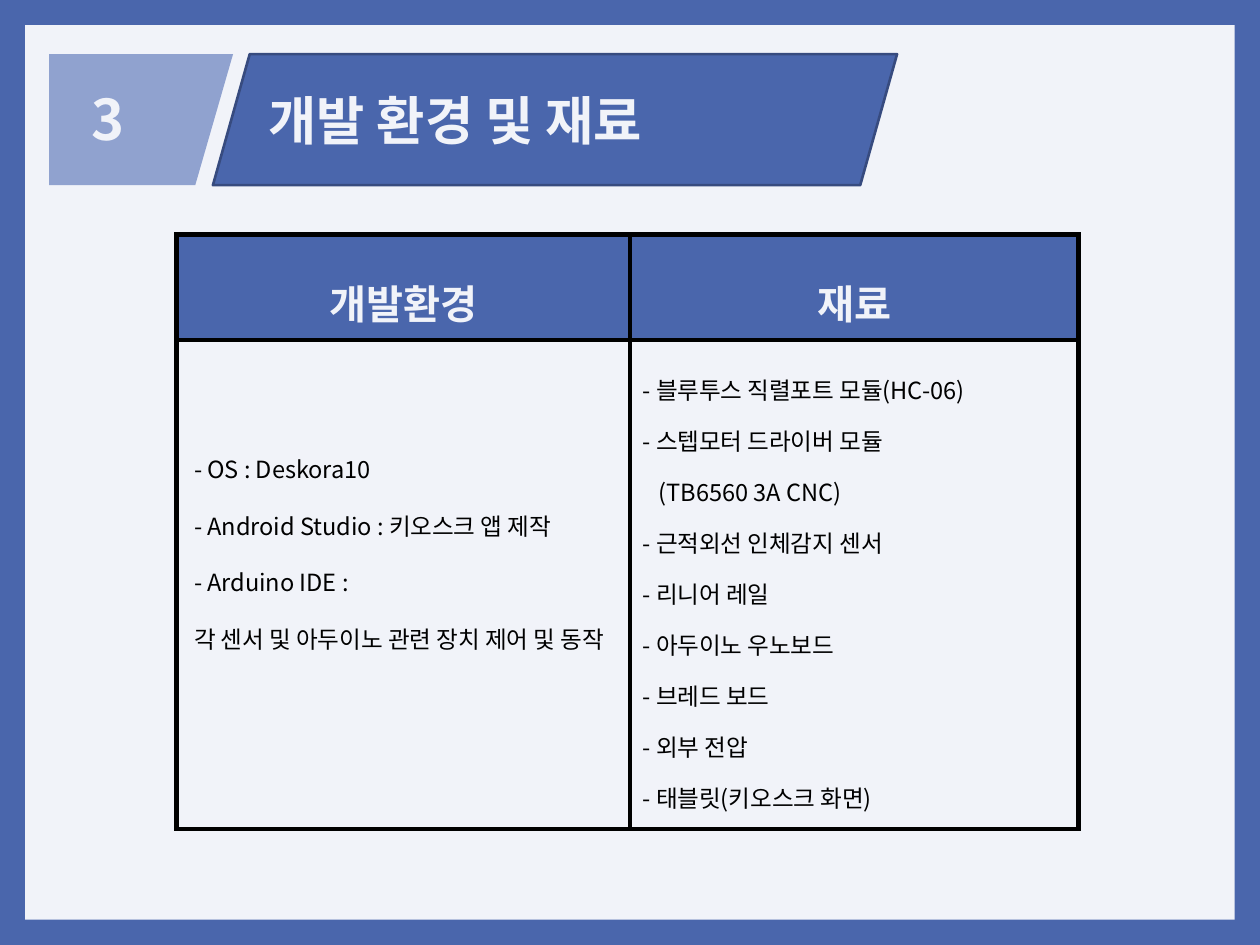
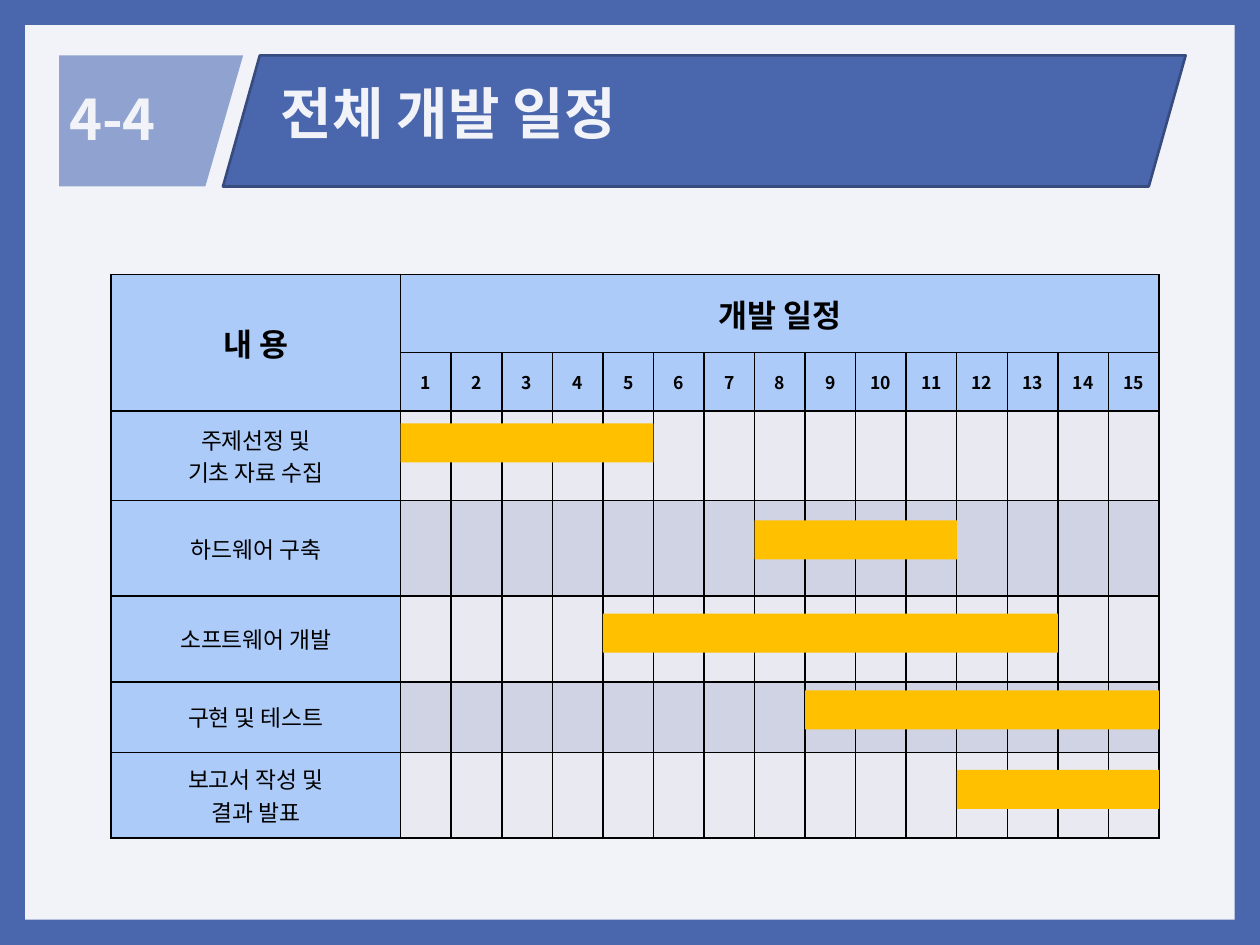
from lxml import etree
from pptx import Presentation
from pptx.dml.color import RGBColor
from pptx.enum.shapes import MSO_SHAPE
from pptx.enum.text import MSO_ANCHOR, MSO_AUTO_SIZE, PP_ALIGN
from pptx.oxml.ns import qn
from pptx.util import Inches, Pt

RECT, SLANT = MSO_SHAPE.RECTANGLE, MSO_SHAPE.PARALLELOGRAM
MIDDLE, FIXED = MSO_ANCHOR.MIDDLE, MSO_AUTO_SIZE.NONE
LEFT, CENTER = PP_ALIGN.LEFT, PP_ALIGN.CENTER
FONT = "Noto Sans CJK KR"
HUES = {
    "blue": "4A66AC", "edge": "374B7F", "panel": "F1F3F9", "tab": "90A2CF",
    "head": "ACCBF9", "light": "E9EAF1", "dark": "D0D3E3",
    "bar": "FFC000", "ink": "000000",
}

TOOLS = [
    "- OS : Deskora10",
    "- Android Studio : 키오스크 앱 제작",
    "- Arduino IDE :",
    "각 센서 및 아두이노 관련 장치 제어 및 동작",
]
PARTS = [
    "- 블루투스 직렬포트 모듈(HC-06)",
    "- 스텝모터 드라이버 모듈",
    "(TB6560 3A CNC)",
    "- 근적외선 인체감지 센서",
    "- 리니어 레일",
    "- 아두이노 우노보드",
    "- 브레드 보드",
    "- 외부 전압",
    "- 태블릿(키오스크 화면)",
]
WEEKS = 15
TASKS = [
    (["주제선정 및", "기초 자료 수집"], 0.71, 1, 5, 3.36),
    (["하드웨어 구축"], 0.76, 8, 11, 4.13),
    (["소프트웨어 개발"], 0.68, 5, 13, 4.87),
    (["구현 및 테스트"], 0.56, 9, 15, 5.48),
    (["보고서 작성 및", "결과 발표"], 0.68, 12, 15, 6.11),
]


def hue(name):
    return RGBColor.from_string(HUES[name])


def box(*lengths):
    return [Inches(n) for n in lengths]


def place(shape, at):
    shape.left, shape.top, shape.width, shape.height = box(*at)


def write(frame, lines, size=13, color="ink", bold=False, align=LEFT,
          gap=1.0, indents=None):
    frame.word_wrap = True
    for i, line in enumerate(lines):
        para = frame.paragraphs[0] if i == 0 else frame.add_paragraph()
        props = para._p.get_or_add_pPr()
        props.set("marL", str(Inches((indents or {}).get(i, 0))))
        props.set("indent", "0")
        etree.SubElement(props, qn("a:buNone"))
        para.alignment, para.line_spacing = align, gap
        para.space_before = Pt(0)
        run = para.add_run()
        run.text = line
        font = run.font
        font.size, font.bold, font.name = Pt(size), bold, FONT
        font.color.rgb = hue(color)
        asian = etree.Element(qn("a:ea"), typeface=FONT)
        run._r.rPr.find(qn("a:latin")).addnext(asian)


def paint(shape, fill, line=None):
    shape.shadow.inherit = False
    shape.fill.solid()
    shape.fill.fore_color.rgb = hue(fill)
    if line:
        shape.line.color.rgb = hue(line)
        shape.line.width = Pt(1.5)
    else:
        shape.line.fill.background()


def block(slide, kind, at, fill, line=None):
    shape = slide.shapes.add_shape(kind, *box(*at))
    paint(shape, fill, line)
    return shape


def fill_holder(shape, at, lines, **style):
    place(shape, at)
    frame = shape.text_frame
    frame.auto_size, frame.vertical_anchor = FIXED, MIDDLE
    write(frame, lines, **style)
    shape.element.getparent().append(shape.element)


def header(slide, mark, mark_x, title, title_at, size, left, top, width):
    tall, lean = 1.04, 0.3
    band = block(slide, SLANT, (left + 1.3, top, width, tall), "blue", "edge")
    band.adjustments[0] = 0.281
    corners = [(left + 1.46, top), (left + 1.46 - lean, top + tall),
               (left, top + tall)]
    path = slide.shapes.build_freeform(*box(left, top), scale=1.0)
    path.add_line_segments([box(*c) for c in corners], close=True)
    paint(path.convert_to_shape(), "tab")
    label = slide.shapes.add_textbox(*box(mark_x, 0.62, 1.4, 0.64))
    write(label.text_frame, [mark], size=32, color="panel", bold=True)
    fill_holder(slide.shapes.title, title_at, [title], size=size,
                color="panel", bold=True)


def grid(slide, at, cols, rows, weight):
    frame = slide.shapes.add_table(len(rows), len(cols), *box(*at))
    table = frame.table
    for col, wide in zip(table.columns, cols):
        col.width = Inches(wide)
    for row, tall in zip(table.rows, rows):
        row.height = Inches(tall)
    for cell in table.iter_cells():
        props = cell._tc.get_or_add_tcPr()
        for side in ("lnL", "lnR", "lnT", "lnB"):
            edge = etree.SubElement(props, qn("a:" + side), w=str(Pt(weight)))
            solid = etree.SubElement(edge, qn("a:solidFill"))
            etree.SubElement(solid, qn("a:srgbClr"), val=HUES["ink"])
    return table


def fill_cell(cell, fill=None, lines=(), **style):
    if fill:
        cell.fill.solid()
        cell.fill.fore_color.rgb = hue(fill)
    else:
        cell.fill.background()
    cell.vertical_anchor = MIDDLE
    write(cell.text_frame, lines, **style)


def set_master(deck):
    master = deck.slide_master
    master.background.fill.solid()
    master.background.fill.fore_color.rgb = hue("blue")
    return master


def add_panel(master, slide):
    panel = block(slide, RECT, (0.2, 0.2, 9.6, 7.1), "panel")
    master.shapes[0].element.addprevious(panel.element)


def setup_slide(slide):
    header(slide, "3", 0.63, "개발 환경 및 재료", (2.03, 0.64, 4.76, 0.61),
           30, 0.39, 0.43, 5.43)
    table = grid(slide, (1.4, 1.86, 7.16, 4.72), (3.6, 3.56), (0.84, 3.88), 3)
    for col, name in enumerate(("개발환경", "재료")):
        fill_cell(table.cell(0, col), "blue", [name], size=23, color="panel",
                  bold=True, align=CENTER, gap=1.5)
    fill_cell(table.cell(1, 0))
    fill_cell(table.cell(1, 1), None, PARTS, size=13.5, gap=1.5,
              indents={2: 0.13})
    fill_holder(slide.placeholders[1], (1.44, 3.36, 3.6, 1.85), TOOLS,
                size=13.5, gap=2.0)


def plan_slide(slide):
    header(slide, "4-4", 0.45, "전체 개발 일정", (2.13, 0.57, 6.97, 0.64),
           32, 0.47, 0.44, 7.64)
    left, top, width, label = 0.88, 2.18, 8.32, 2.3
    week = (width - label) / WEEKS
    rows = [0.62, 0.4] + [task[1] for task in TASKS]
    table = grid(slide, (left, top, width, sum(rows)),
                 [label] + [week] * WEEKS, rows, 1)
    table.cell(0, 0).merge(table.cell(1, 0))
    table.cell(0, 1).merge(table.cell(0, WEEKS))
    for col, name in enumerate(("내 용", "개발 일정")):
        fill_cell(table.cell(0, col), "head", [name], size=18, bold=True,
                  align=CENTER)
    for num in range(1, WEEKS + 1):
        fill_cell(table.cell(1, num), "head", [str(num)], size=10, bold=True,
                  align=CENTER)
    for row, (name, tall, first, last, y) in enumerate(TASKS, 2):
        fill_cell(table.cell(row, 0), "head", name, align=CENTER)
        for num in range(1, WEEKS + 1):
            fill_cell(table.cell(row, num), "dark" if row % 2 else "light")
        x = left + label + (first - 1) * week
        block(slide, RECT, (x, y, (last - first + 1) * week, 0.31), "bar")


def main():
    deck = Presentation()
    deck.slide_width, deck.slide_height = box(10, 7.5)
    master = set_master(deck)
    setup = deck.slides.add_slide(deck.slide_layouts[1])
    add_panel(master, setup)
    setup_slide(setup)
    plan_slide(deck.slides.add_slide(deck.slide_layouts[5]))
    deck.save("out.pptx")


if __name__ == "__main__":
    main()
